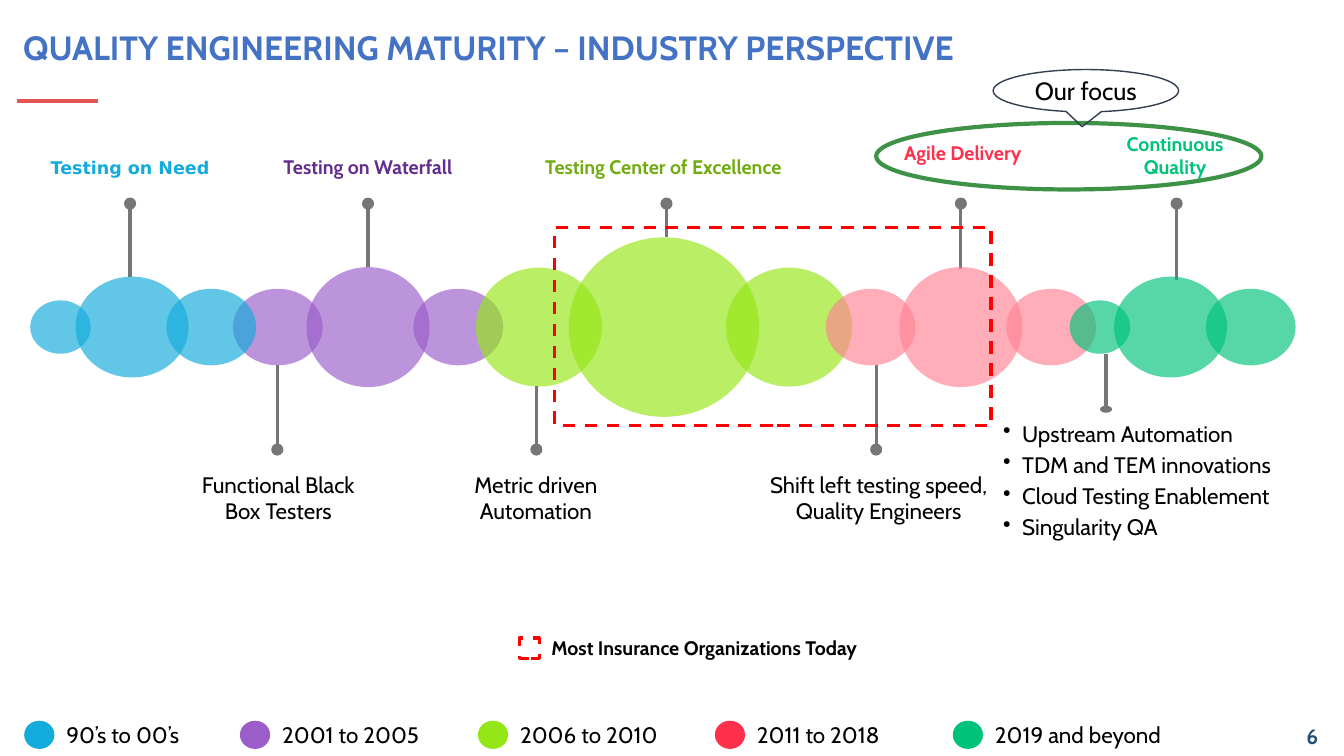
import dataclasses

import pptx
import pptx.dml.color
import pptx.enum.dml
import pptx.enum.shapes
import pptx.enum.text
import pptx.oxml
import pptx.oxml.ns
import pptx.util

Inches = pptx.util.Inches
SHAPE = pptx.enum.shapes.MSO_SHAPE
ALIGN = pptx.enum.text.PP_ALIGN
ANCHOR = pptx.enum.text.MSO_ANCHOR


@dataclasses.dataclass(frozen=True)
class Theme:
    """Colours and type sizes of the slide."""
    font: str = "Cabin"
    wide_font: str = "DejaVu Sans"
    text: str = "000000"
    title: str = "4472C4"
    accent: str = "E55554"
    number: str = "1F4E79"
    pin: str = "767676"
    today: str = "FF0000"
    focus: str = "3E9248"
    callout: str = "333F50"
    blue: str = "12ABDB"
    purple: str = "9A5DCA"
    dark_purple: str = "642E8E"
    green: str = "95E616"
    dark_green: str = "70AC10"
    pink: str = "FF8394"
    red: str = "FF304C"
    teal: str = "00C37B"
    title_size: float = 24
    callout_size: float = 17.8
    body_size: float = 16
    number_size: float = 15
    label_size: float = 14
    wide_size: float = 12.5


@dataclasses.dataclass(frozen=True)
class Box:
    """A rectangle in inches."""
    left: float
    top: float
    width: float
    height: float

    def inner(self, left, top, width, height):
        """Return a box placed relative to this one."""
        return Box(self.left + left, self.top + top, width, height)

    def lengths(self):
        """Return the four measures as slide lengths."""
        return [Inches(value) for value in dataclasses.astuple(self)]


THEME = Theme()


def rgb(color):
    """Return a colour object for a hex value."""
    return pptx.dml.color.RGBColor.from_string(color)


def write_text(frame, text, size=THEME.body_size, color=THEME.text, font=THEME.font, bold=False,
               align=ALIGN.LEFT, anchor=ANCHOR.TOP, wrap=True, spacing=None, bullet=None, after=None):
    """Fill a text frame, one paragraph for each line of text."""
    frame.word_wrap = wrap
    frame.vertical_anchor = anchor
    for index, line in enumerate(text.split("\n")):
        paragraph = frame.add_paragraph() if index else frame.paragraphs[0]
        paragraph.alignment = align
        if spacing:
            paragraph.line_spacing = spacing
        if after:
            paragraph.space_after = pptx.util.Pt(after)
        if bullet:
            properties = paragraph._p.get_or_add_pPr()
            properties.set("marL", str(Inches(0.19)))
            properties.set("indent", str(-Inches(0.19)))
            pptx.oxml.ns.qn("a:buChar")
            mark = properties.makeelement(pptx.oxml.ns.qn("a:buChar"), {"char": bullet})
            properties.append(mark)
        run = paragraph.add_run()
        run.text = line
        run.font.name = font
        run.font.size = pptx.util.Pt(size)
        run.font.bold = bold
        run.font.color.rgb = rgb(color)


def add_text(slide, box, text, **formats):
    """Add a text box."""
    write_text(slide.shapes.add_textbox(*box.lengths()).text_frame, text, **formats)


def add_shape(slide, kind, box, fill=None, alpha=None, line=None, weight=1, dashed=False):
    """Add a preset shape with an optional fill and outline."""
    shape = slide.shapes.add_shape(kind, *box.lengths())
    shape.shadow.inherit = False
    if fill:
        shape.fill.solid()
        shape.fill.fore_color.rgb = rgb(fill)
    else:
        shape.fill.background()
    if alpha:
        color = shape._element.spPr.find(".//" + pptx.oxml.ns.qn("a:srgbClr"))
        color.append(color.makeelement(pptx.oxml.ns.qn("a:alpha"), {"val": str(alpha * 1000)}))
    if line:
        shape.line.color.rgb = rgb(line)
        shape.line.width = pptx.util.Pt(weight)
        if dashed:
            shape.line.dash_style = pptx.enum.dml.MSO_LINE.DASH
    else:
        shape.line.fill.background()
    return shape


def add_line(slide, start, end, color, weight):
    """Add a straight line between two points in inches."""
    points = [Inches(value) for value in (*start, *end)]
    connector = slide.shapes.add_connector(pptx.enum.shapes.MSO_CONNECTOR.STRAIGHT, *points)
    connector.line.color.rgb = rgb(color)
    connector.line.width = pptx.util.Pt(weight)
    properties = connector._element.spPr
    properties.append(properties.makeelement(pptx.oxml.ns.qn("a:effectLst"), {}))


def add_header(slide, box):
    """Add the title and its accent line."""
    add_text(slide, box, "QUALITY ENGINEERING MATURITY – INDUSTRY PERSPECTIVE",
             size=THEME.title_size, color=THEME.title, bold=True, spacing=0.9)
    left, top = box.left + 0.04, box.top + 0.74
    add_line(slide, (left, top), (left + 0.8, top), THEME.accent, 3)


def add_pin(slide, x, start, end, height=0.12):
    """Add a pin from a bubble edge to the centre of its dot."""
    add_line(slide, (x, start), (x, end), THEME.pin, 2.25)
    dot = Box(x - 0.06, end - height / 2, 0.12, height)
    add_shape(slide, SHAPE.OVAL, dot, fill=THEME.pin)


def add_bubbles(slide, box):
    """Add the pins and the chain of bubbles, centred on the box."""
    for x, start in ((1.29, 0.4), (3.65, 0.3), (6.61, 0), (9.53, 0.32), (11.67, 0.43)):
        add_pin(slide, x, box.top + start, box.top - 0.33)
    tiny, small, medium, large = (0.6, 0.53), (0.89, 0.76), (1.12, 1), (1.22, 1.19)
    broad, giant = (1.25, 1.18), (1.89, 1.78)
    chains = (
        (THEME.purple, ((2.31, small), (3.04, large), (4.1, small))),
        (THEME.green, ((4.72, broad), (5.64, giant), (7.2, broad))),
        (THEME.pink, ((8.19, small), (8.92, large), (9.98, small))),
        (THEME.teal, ((10.61, tiny), (11.96, small), (11.05, medium))),
        (THEME.blue, ((0.3, tiny), (1.65, small), (0.75, medium))),
    )
    for color, chain in chains:
        for left, (width, height) in chain:
            bubble = box.inner(left - box.left, (box.height - height) / 2, width, height)
            add_shape(slide, SHAPE.OVAL, bubble, fill=color, alpha=66)
    for x, start in ((2.75, 1.27), (5.32, 1.48), (8.69, 1.27)):
        add_pin(slide, x, box.top + start, box.top + 2.11)
    add_pin(slide, 10.97, box.top + 1.16, box.top + 1.71, height=0.07)


def add_stages(slide, box):
    """Add the stage names above the bubbles."""
    stages = (
        ("Testing on Need", 0, 0.26, 2.04, 0.31, THEME.blue),
        ("Testing on Waterfall", 2.28, 0.23, 2.2, 0.34, THEME.dark_purple),
        ("Testing Center of Excellence", 4.94, 0, 2.74, 0.57, THEME.dark_green),
        ("Agile Delivery", 7.91, 0.09, 2.74, 0.34, THEME.red),
        ("Continuous Quality", 10.64, 0, 1.49, 0.57, THEME.teal),
    )
    for index, (name, left, top, width, height, color) in enumerate(stages):
        font, size = (THEME.font, THEME.label_size) if index else (THEME.wide_font, THEME.wide_size)
        add_text(slide, box.inner(left, top, width, height), name, size=size, color=color,
                 font=font, bold=True, align=ALIGN.CENTER, anchor=ANCHOR.BOTTOM)


def add_practices(slide, box):
    """Add the practices below the bubbles."""
    practices = (("Functional Black Box Testers", 0, 1.84), ("Metric driven Automation", 2.61, 1.73),
                 ("Shift left testing speed, Quality Engineers", 5.69, 2.37))
    for practice, left, width in practices:
        add_text(slide, box.inner(left, 0.5, width, 0.64), practice, align=ALIGN.CENTER)
    add_text(slide, box.inner(8.01, 0, 3.5, 1.3), "Upstream Automation\nTDM and TEM innovations\n"
             "Cloud Testing Enablement\nSingularity QA", bullet="•", after=3)


def add_today(slide, box):
    """Add the dashed frame and its key."""
    key = box.inner(-0.35, 4.07, 0.2, 0.2)
    for frame in (box, key):
        add_shape(slide, SHAPE.RECTANGLE, frame, line=THEME.today, weight=2.25, dashed=True)
    add_text(slide, key.inner(0.22, -0.07, 3.56, 0.34), "Most Insurance Organizations Today",
             size=THEME.label_size, bold=True, anchor=ANCHOR.MIDDLE, wrap=False)


def add_focus(slide, box):
    """Add the focus ring and its callout."""
    add_shape(slide, SHAPE.OVAL, box, line=THEME.focus, weight=3)
    callout = add_shape(slide, SHAPE.OVAL_CALLOUT, box.inner(1.16, -0.53, 1.84, 0.42), line=THEME.callout)
    callout.adjustments[0], callout.adjustments[1] = -0.02, 0.85
    frame = callout.text_frame
    frame.margin_left = frame.margin_right = frame.margin_top = frame.margin_bottom = 0
    write_text(frame, "Our focus", size=THEME.callout_size, align=ALIGN.CENTER, anchor=ANCHOR.MIDDLE)


def add_legend(slide, box):
    """Add the colour key of the periods."""
    periods = (("90’s to 00’s", 0, THEME.blue), ("2001 to 2005", 2.14, THEME.purple),
               ("2006 to 2010", 4.5, THEME.green), ("2011 to 2018", 6.85, THEME.red),
               ("2019 and beyond", 9.21, THEME.teal))
    for period, left, color in periods:
        add_shape(slide, SHAPE.OVAL, box.inner(left, 0.04, 0.3, 0.28), fill=color)
        add_text(slide, box.inner(left + 0.32, 0, 2, box.height), period, anchor=ANCHOR.MIDDLE)


def main():
    """Build and save the slide."""
    presentation = pptx.Presentation()
    presentation.slide_width, presentation.slide_height = Inches(13.33), Inches(7.5)
    slide = presentation.slides.add_slide(presentation.slide_layouts[6])
    add_header(slide, Box(0.13, 0.26, 11.12, 0.46))
    add_bubbles(slide, Box(0.3, 2.35, 12.55, 1.79))
    add_stages(slide, Box(0.27, 1.25, 12.13, 0.57))
    add_practices(slide, Box(1.84, 4.12, 11.51, 1.3))
    add_today(slide, Box(5.5, 2.26, 4.33, 1.96))
    add_focus(slide, Box(8.69, 1.22, 3.82, 0.66))
    add_legend(slide, Box(0.24, 7.11, 12, 0.36))
    add_text(slide, Box(12.86, 7.13, 0.46, 0.35), "6", size=THEME.number_size,
             color=THEME.number, bold=True, wrap=False)
    presentation.save("out.pptx")


if __name__ == "__main__":
    main()
